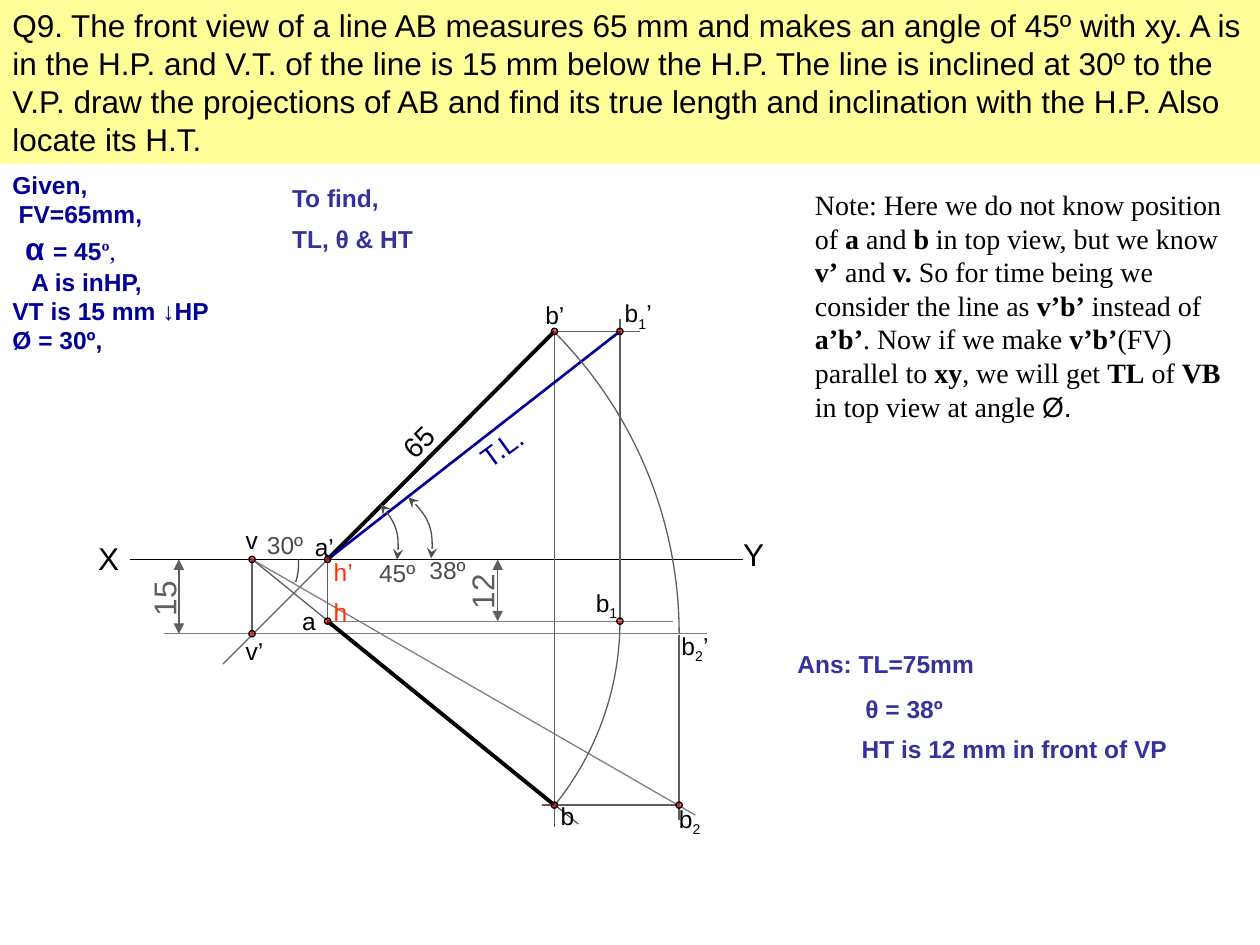
from copy import deepcopy
from math import cos, radians, sin, tan

from lxml.etree import SubElement
from pptx import Presentation
from pptx.dml.color import RGBColor
from pptx.enum.shapes import MSO_CONNECTOR, MSO_SHAPE
from pptx.oxml.ns import qn
from pptx.util import Inches, Pt

SLIDE_WIDTH, SLIDE_HEIGHT = 10, 7.5
BLACK, NAVY, INDIGO, RED = "000000", "000099", "333399", "FF3300"
DARK, MID, LIGHT = "4D4D4D", "5F5F5F", "808080"
LABEL_HEIGHTS = {14: 0.33, 16: 0.37, 18: 0.4}
RUN_STYLES = {
    "*": {"bold": True},
    "_": {"subscript": True},
    "#": {"size": Pt(18)},
    "@": {"name": "Arial"},
    "%": {"name": "Times New Roman"},
    "~": {"name": "Times New Roman", "bold": False},
}

QUESTION = ("Q9. The front view of a line AB measures 65 mm and makes an angle of 45º with xy. "
            "A is in the H.P. and V.T. of the line is 15 mm below the H.P. The line is inclined "
            "at 30º to the V.P. draw the projections of AB and find its true length and "
            "inclination with the H.P. Also locate its H.T.")
GIVEN = ["Given,", "FV=65mm,", "#α |= 45|%º|~,", "A is inHP,", "VT is 15 mm ↓HP", "Ø = 30º,"]
GIVEN_INDENTS = [0, 0.05, 0.1, 0.15, 0, 0]
TO_FIND = ["To find,", "TL, θ & HT"]
NOTE = ("Note: Here we do not know position of |*a| and |*b| in top view, but we know |*v’| and |*v.|"
        " So for time being we consider the line as |*v’b’| instead of |*a’b’|. Now if we make "
        "|*v’b’|(FV) parallel to |*xy|, we will get |*TL| of |*VB| in top view at angle |@Ø.")
ANSWERS = [
    ("Ans: TL=75mm", 6.23, 5.1, 1.89),
    ("θ = 38º", 6.77, 5.46, 1.55),
    ("HT is 12 mm in front of VP", 6.74, 5.78, 2.87),
]

V, A, B, B1, B2 = 2, 2.6, 4.4, 4.92, 5.39
TOP, XY, TRACE_H, TRACE_V, LOW = 2.63, 4.44, 4.93, 5.03, 6.39
POINTS = [(A, XY), (B, TOP), (V, TRACE_V), (V, XY), (B2, LOW),
          (B, LOW), (A, TRACE_H), (B1, TOP), (B1, TRACE_H)]
LINES = [
    ((1.03, XY), (5.9, XY), BLACK, 0.75),
    ((A, XY), (B, TOP), BLACK, 2.25),
    ((1.77, 5.27), (A, XY), MID, 0.75),
    ((V, TRACE_V), (1.3, TRACE_V), LIGHT, 0.75),
    ((V, XY), (V, TRACE_V), MID, 0.75),
    ((5.61, TRACE_V), (V, TRACE_V), LIGHT, 0.75),
    ((B2, 5.04), (B2, 6.51), MID, 0.75),
    ((5.52, 6.47), (V, XY), LIGHT, 0.75),
    ((B2, LOW), (4.3, LOW), MID, 0.75),
    ((B, TOP), (B, 6.56), MID, 0.75),
    ((1.99, 4.43), (4.59, 6.54), MID, 0.75),
    ((A, XY), (A, TRACE_H), MID, 0.75),
    ((A, TRACE_H), (B, LOW), BLACK, 2.25),
    ((5.34, TRACE_H), (A, TRACE_H), LIGHT, 0.75),
    ((B1, 2.53), (B1, 4.92), MID, 0.75),
    ((B, TOP), (5.08, TOP), MID, 0.75),
    ((A, XY), (B1, TOP), NAVY, 1.5),
]
DIMENSIONS = [((1.42, XY), (1.42, TRACE_V)), ((3.95, XY), (3.95, TRACE_H))]
ARCS = [
    ((2.66, 4.35), 0.5, -44, 10.4, DARK, "stealth"),
    ((2.93, 4.34), 0.5, -51.5, 10.4, DARK, "stealth"),
    ((1.87, 4.47), 0.5, -3.4, 17.5, DARK, None),
    ((V, TRACE_V), 3.39, -45, 0, MID, None),
    ((A, TRACE_H), 2.32, 39, 0, MID, None),
]
LABELS = [
    ("X", 0.68, 4.23, 0.45, 18, BLACK, 0),
    ("Y", 5.8, 4.2, 0.53, 18, BLACK, 0),
    ("a’", 2.4, 4.17, 0.45, 14, BLACK, 0),
    ("b’", 4.23, 2.33, 0.45, 14, BLACK, 0),
    ("v’", 1.85, 5, 0.45, 14, BLACK, 0),
    ("v", 1.85, 4.12, 0.45, 14, BLACK, 0),
    ("b|_2|’", 5.31, 4.96, 0.45, 14, BLACK, 0),
    ("b|_2", 5.29, 6.33, 0.45, 14, BLACK, 0),
    ("b", 4.35, 6.31, 0.45, 14, BLACK, 0),
    ("a", 2.3, 4.76, 0.45, 14, BLACK, 0),
    ("b|_1", 4.63, 4.62, 0.45, 14, BLACK, 0),
    ("b|_1|’", 4.86, 2.32, 0.45, 14, BLACK, 0),
    ("h’", 2.55, 4.37, 0.45, 14, RED, 0),
    ("h", 2.55, 4.69, 0.45, 14, RED, 0),
    ("45º", 2.91, 4.38, 0.55, 14, DARK, 0),
    ("38º", 3.31, 4.36, 0.55, 14, DARK, 0),
    ("30º", 2.02, 4.16, 0.55, 14, DARK, 0),
    ("15", 1.05, 4.54, 0.5, 18, MID, 270),
    ("12", 3.56, 4.47, 0.53, 18, MID, 270),
    ("T.L.", 3.69, 3.32, 0.7, 16, NAVY, 323.9),
    ("65", 3.06, 3.23, 0.7, 16, BLACK, 315),
]


def rgb(color):
    """Turn a hex string into a colour."""
    return RGBColor.from_string(color)


def write(slide, paragraphs, left, top, width, height, size, color,
          bold=False, font="Arial", gap=0, indents=(), rotation=0):
    """Add a text box whose runs are split by bars and styled by a leading mark."""
    box = slide.shapes.add_textbox(*map(Inches, (left, top, width, height)))
    box.rotation = rotation
    frame = box.text_frame
    frame.word_wrap = True
    for index, line in enumerate(paragraphs):
        paragraph = frame.add_paragraph() if index else frame.paragraphs[0]
        if index and gap:
            paragraph.space_before = Pt(gap)
        if indents and indents[index]:
            paragraph._p.get_or_add_pPr().set("marL", str(Inches(indents[index])))
        for piece in line.split("|"):
            style = RUN_STYLES.get(piece[0], {})
            run = paragraph.add_run()
            run.text = piece[1:] if style else piece
            run.font.name = style.get("name", font)
            run.font.size = style.get("size", Pt(size))
            run.font.bold = style.get("bold", bold)
            run.font.color.rgb = rgb(color)
            if style.get("subscript"):
                run.font._element.set("baseline", "-25000")
    return box


def stroke(shape, color, weight, arrow=None):
    """Style an outline, with the same arrowhead at both ends if given."""
    shape.line.color.rgb = rgb(color)
    shape.line.width = Pt(weight)
    if arrow:
        for end in ("a:headEnd", "a:tailEnd"):
            SubElement(shape.line._get_or_add_ln(), qn(end), type=arrow)


def draw_line(slide, start, end, color, weight, arrow=None):
    """Add a straight connector without shadow."""
    line = slide.shapes.add_connector(MSO_CONNECTOR.STRAIGHT, *map(Inches, start + end))
    stroke(line, color, weight, arrow)
    SubElement(line._element.spPr, qn("a:effectLst"))


def draw_arc(slide, center, radius, first, last, color, arrow):
    """Add a stroked curve between two angles, with its unstroked sector as in a preset arc."""
    start, end = radians(first), radians(last)
    pull = 4 / 3 * tan((end - start) / 4)

    def place(angle, shift):
        """Find a point on the circle, shifted along its tangent."""
        return (Inches(center[0] + radius * (cos(angle) - shift * sin(angle))),
                Inches(center[1] + radius * (sin(angle) + shift * cos(angle))))

    builder = slide.shapes.build_freeform(*place(start, 0))
    builder.add_line_segments(
        [place(start, pull), place(end, -pull), place(end, 0), tuple(map(Inches, center))],
        close=False)
    arc = builder.convert_to_shape()
    sector = arc._element.find(".//" + qn("a:path"))
    segments = sector.findall(qn("a:lnTo"))
    curve = SubElement(sector, qn("a:cubicBezTo"))
    for segment in segments[:3]:
        curve.append(segment[0])
        sector.remove(segment)
    sector.insert(1, curve)
    outline = deepcopy(sector)
    outline.remove(outline.find(qn("a:lnTo")))
    sector.addprevious(outline)
    SubElement(sector, qn("a:close"))
    sector.set("stroke", "0")
    arc.fill.background()
    arc.shadow.inherit = False
    stroke(arc, color, 0.75, arrow)


def draw_point(slide, x, y, size=0.05):
    """Add a translucent red dot centred on a point."""
    dot = slide.shapes.add_shape(
        MSO_SHAPE.OVAL, *map(Inches, (x - size / 2, y - size / 2, size, size)))
    dot.shadow.inherit = False
    dot.fill.solid()
    dot.fill.fore_color.rgb = rgb("FF0000")
    SubElement(dot._element.spPr.find(".//" + qn("a:srgbClr")), qn("a:alpha"), val="56000")
    stroke(dot, BLACK, 0.75)


def main():
    """Build the slide and save it."""
    deck = Presentation()
    deck.slide_width, deck.slide_height = Inches(SLIDE_WIDTH), Inches(SLIDE_HEIGHT)
    slide = deck.slides.add_slide(deck.slide_layouts[6])
    banner = write(slide, [QUESTION], 0, 0, SLIDE_WIDTH, 1.3, 18, BLACK)
    banner.fill.solid()
    banner.fill.fore_color.rgb = rgb("FFFF99")
    write(slide, GIVEN, 0, 1.3, 1.89, 1.56, 14, NAVY, bold=True, indents=GIVEN_INDENTS)
    write(slide, TO_FIND, 2.22, 1.4, 1.54, 0.68, 14, INDIGO, bold=True, gap=7)
    write(slide, [NOTE], 6.37, 1.44, 3.6, 1.97, 16, BLACK, font="Times New Roman")
    for line in LINES:
        draw_line(slide, *line)
    for start, end in DIMENSIONS:
        draw_line(slide, start, end, MID, 0.75, "triangle")
    for arc in ARCS:
        draw_arc(slide, *arc)
    for point in POINTS:
        draw_point(slide, *point)
    for text, left, top, width, size, color, rotation in LABELS:
        write(slide, [text], left, top, width, LABEL_HEIGHTS[size], size, color, rotation=rotation)
    for text, left, top, width in ANSWERS:
        write(slide, [text], left, top, width, LABEL_HEIGHTS[14], 14, INDIGO, bold=True)
    deck.save("out.pptx")


if __name__ == "__main__":
    main()
